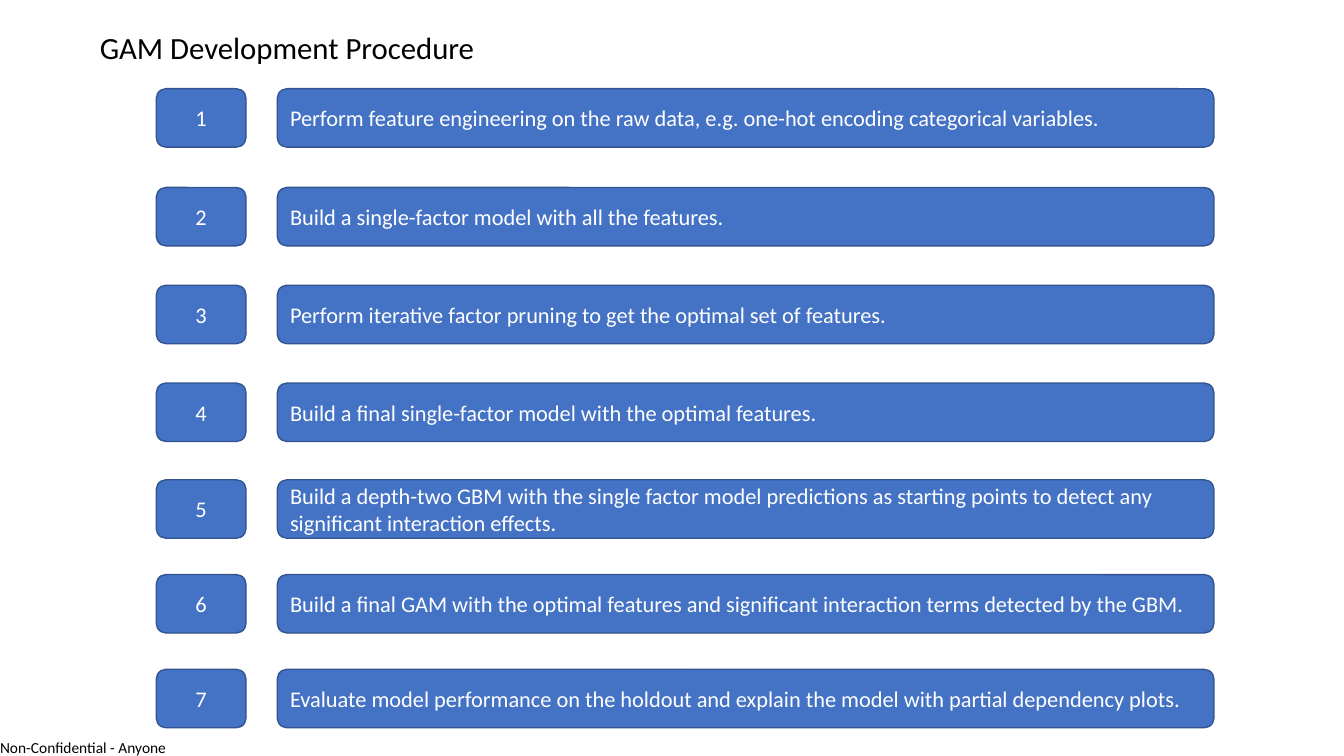
from dataclasses import dataclass

from pptx import Presentation
from pptx.dml.color import RGBColor
from pptx.enum.shapes import MSO_SHAPE
from pptx.enum.text import MSO_ANCHOR, MSO_AUTO_SIZE, PP_ALIGN
from pptx.slide import Slide
from pptx.text.text import TextFrame
from pptx.util import Emu, Pt

ROUNDED = MSO_SHAPE.ROUNDED_RECTANGLE
TOP, MIDDLE = MSO_ANCHOR.TOP, MSO_ANCHOR.MIDDLE
LEFT, CENTER = PP_ALIGN.LEFT, PP_ALIGN.CENTER
NO_AUTOFIT = MSO_AUTO_SIZE.NONE

EMU_PER_PX = 9144
TITLE_ONLY_LAYOUT = 5
FONT = "Calibri"
BLACK, WHITE, BLUE, DARK_BLUE = "000000", "FFFFFF", "4472C4", "325491"

NUMBER_LEFT, NUMBER_WIDTH = 155, 89
TEXT_LEFT, TEXT_WIDTH = 275, 929
STEP_HEIGHT = 58


@dataclass(frozen=True)
class Step:
    top: int
    text: str


STEPS = [
    Step(88, "Perform feature engineering on the raw data, e.g. one-hot encoding categorical variables."),
    Step(186, "Build a single-factor model with all the features."),
    Step(283, "Perform iterative factor pruning to get the optimal set of features."),
    Step(380, "Build a final single-factor model with the optimal features."),
    Step(476, "Build a depth-two GBM with the single factor model predictions as starting points "
              "to detect any significant interaction effects."),
    Step(570, "Build a final GAM with the optimal features and significant interaction terms "
              "detected by the GBM."),
    Step(664, "Evaluate model performance on the holdout and explain the model with partial "
              "dependency plots."),
]


def px(length: int) -> Emu:
    return Emu(length * EMU_PER_PX)


def color(hex_code: str) -> RGBColor:
    return RGBColor.from_string(hex_code)


def write(frame: TextFrame, text: str, size: int, hex_code: str,
          align: PP_ALIGN = LEFT, anchor: MSO_ANCHOR = TOP) -> None:
    frame.text = text
    frame.word_wrap = True
    frame.auto_size = NO_AUTOFIT
    frame.vertical_anchor = anchor
    para = frame.paragraphs[0]
    para.alignment = align
    font = para.runs[0].font
    font.name = FONT
    font.size = Pt(size)
    font.color.rgb = color(hex_code)


def add_title(page: Slide) -> None:
    title = page.shapes.title
    title.left, title.top, title.width, title.height = px(89), px(23), px(578), px(47)
    write(title.text_frame, "GAM Development Procedure", 22, BLACK)


def add_classification(page: Slide) -> None:
    box = page.shapes.add_textbox(px(0), px(732), px(168), px(18))
    frame = box.text_frame
    frame.margin_left = frame.margin_top = frame.margin_right = frame.margin_bottom = 0
    write(frame, "Non-Confidential - Anyone", 11, BLACK)


def add_box(page: Slide, left: int, top: int, width: int, text: str, align: PP_ALIGN) -> None:
    box = page.shapes.add_shape(ROUNDED, px(left), px(top), px(width), px(STEP_HEIGHT))
    box.shadow.inherit = False
    box.fill.solid()
    box.fill.fore_color.rgb = color(BLUE)
    box.line.color.rgb = color(DARK_BLUE)
    box.line.width = Pt(1)
    write(box.text_frame, text, 16, WHITE, align, MIDDLE)


def add_step(page: Slide, number: int, step: Step) -> None:
    add_box(page, TEXT_LEFT, step.top, TEXT_WIDTH, step.text, LEFT)
    add_box(page, NUMBER_LEFT, step.top, NUMBER_WIDTH, str(number), CENTER)


def main() -> None:
    deck = Presentation()
    deck.slide_width, deck.slide_height = px(1333), px(750)
    page = deck.slides.add_slide(deck.slide_layouts[TITLE_ONLY_LAYOUT])
    add_classification(page)
    add_title(page)
    for number, step in enumerate(STEPS, start=1):
        add_step(page, number, step)
    deck.save("out.pptx")


if __name__ == "__main__":
    main()
